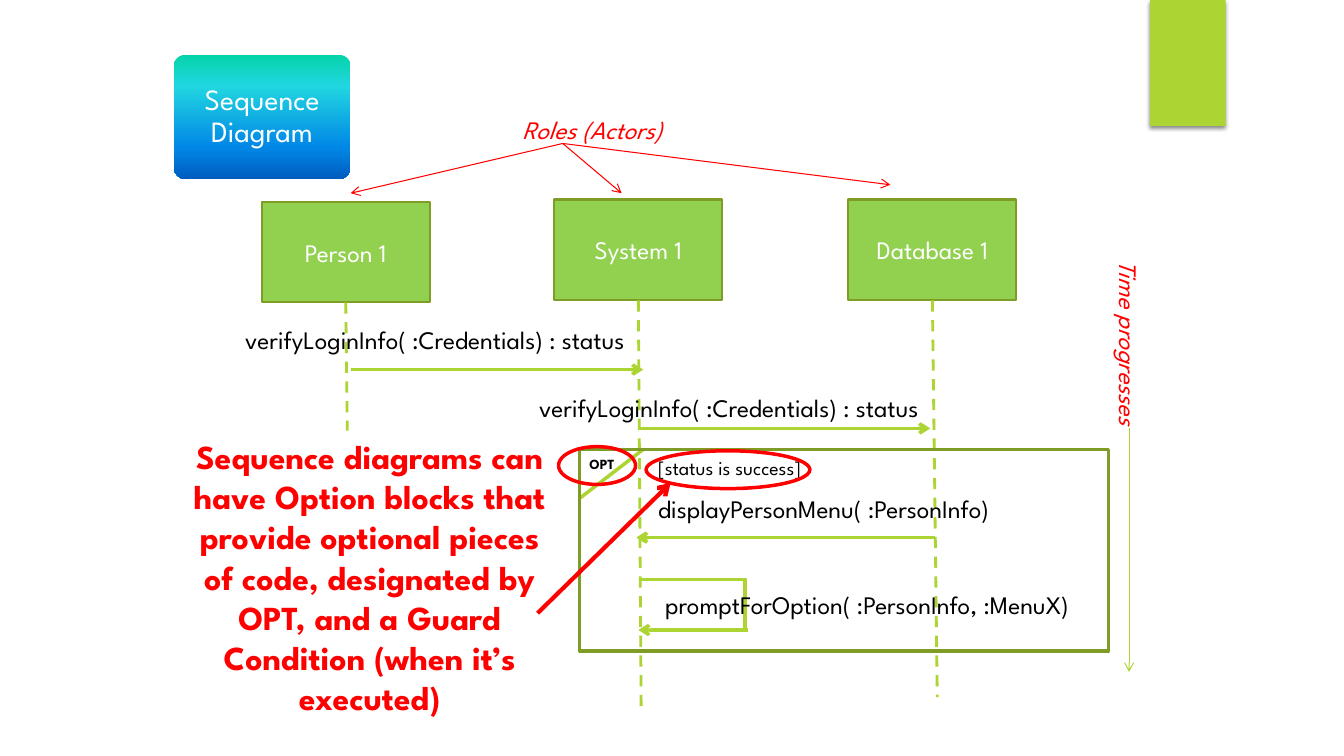
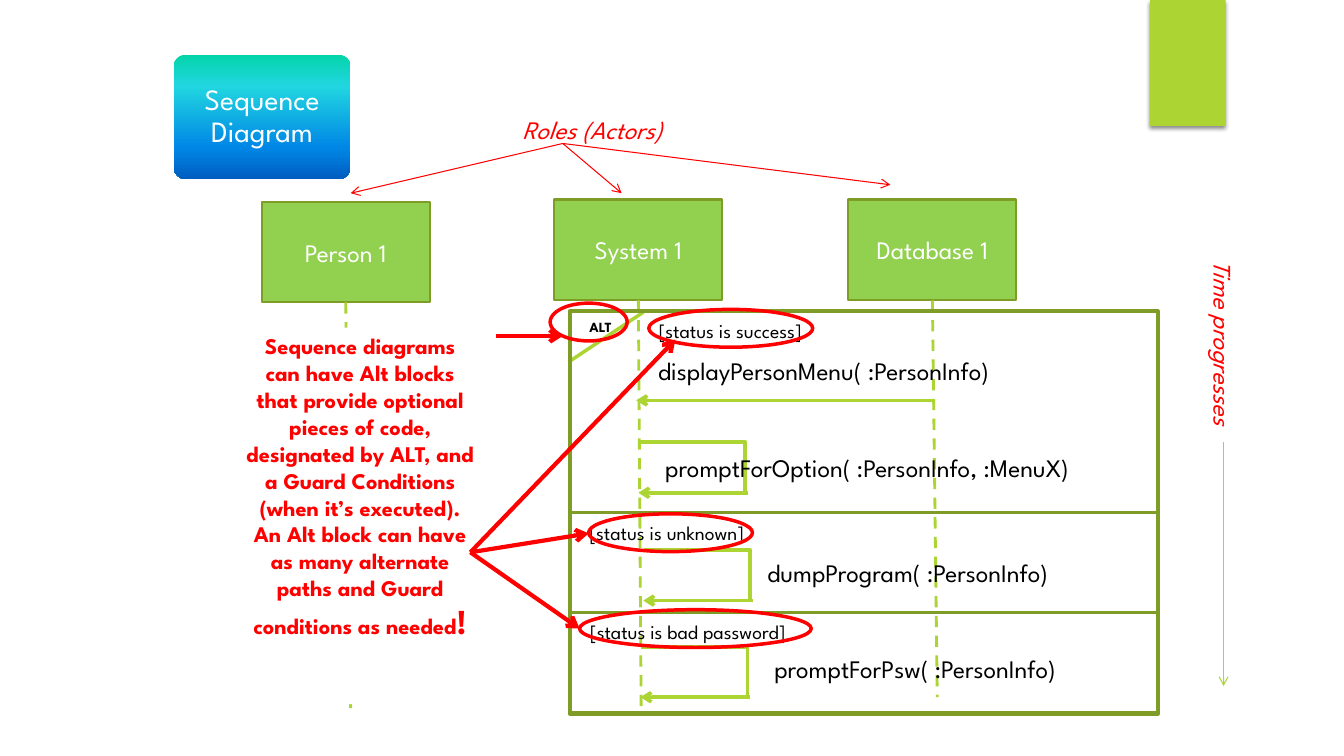
from dataclasses import dataclass

from lxml.etree import SubElement
from pptx import Presentation
from pptx.dml.color import RGBColor as RGB
from pptx.enum.dml import MSO_LINE
from pptx.enum.shapes import MSO_CONNECTOR as LINK, MSO_SHAPE as SHAPE
from pptx.enum.text import MSO_ANCHOR as ANCHOR, PP_ALIGN as ALIGN
from pptx.oxml.ns import qn
from pptx.util import Pt


@dataclass(frozen=True)
class Theme:
    font: str = "League Spartan"
    lime: RGB = RGB(0xAC, 0xD4, 0x33)
    olive: RGB = RGB(0x7F, 0x9D, 0x26)
    actor: RGB = RGB(0x92, 0xD0, 0x50)
    red: RGB = RGB(0xFF, 0x00, 0x00)
    white: RGB = RGB(0xFF, 0xFF, 0xFF)
    black: RGB = RGB(0x00, 0x00, 0x00)
    title_gradient: tuple = ((0, "03D4A8"), (25, "21D6E0"), (75, "0087E6"), (100, "005CBF"))
    title_size: int = 21
    body_size: int = 18
    guard_size: int = 14
    tag_size: int = 10
    emphasis_size: int = 24
    thin: float = 0.75
    medium: float = 2.5
    heavy: float = 3


THEME = Theme()
LABEL_HEIGHT = 29
SELF_CALL_WIDTH, SELF_CALL_HEIGHT = 78, 36

# Actor, left, top, end of its lifeline
ACTORS = [
    ("Person 1", 187, 144, (250.5, 510)),
    ("System 1", 396, 142.5, (458, 510)),
    ("Database 1", 606, 142.5, (669.5, 498)),
]
ROLE_TARGETS = [(250.5, 138), (444, 138), (636, 132)]

DIAGRAMS = [
    {
        "time": (806.5, 306),
        "messages": [((250.5, 264), (459.5, 264)), ((456, 306), (664.5, 306)),
                     ((668, 384), (454.5, 384))],
        "self_calls": [(456.5, 414)],
        "calls": [
            (168, 228, 330, "verifyLoginInfo( :Credentials) : status"),
            (378, 277, 330, "verifyLoginInfo( :Credentials) : status"),
            (463, 348.5, 304, "displayPersonMenu( :PersonInfo)"),
            (468, 417.5, 359, "promptForOption( :PersonInfo, :MenuX)"),
        ],
        "frames": [(414, 321, 378, 144)],
        "corner": ((414, 356), (459.5, 321)),
        "tag": (414, 322, 39, "OPT"),
        "guards": [(463, 322, 132, "[status is success]")],
        "note_box": (126.5, 307.5, 275, 240),
        "note_size": 24,
        "note": ["Sequence diagrams can have Option blocks that provide optional pieces of code, "
                 "designated by OPT, and a Guard Condition (when it’s executed)"],
        "circles": [(399, 319, 55, 27), (461.5, 322, 117, 27)],
        "pointers": [((384, 438), (479, 345))],
    },
    {
        "time": (874, 316),
        "messages": [((668, 286), (454.5, 286))],
        "self_calls": [(456.5, 316), (460, 393), (458, 462)],
        "calls": [
            (463, 250.5, 304, "displayPersonMenu( :PersonInfo)"),
            (468, 319.5, 359, "promptForOption( :PersonInfo, :MenuX)"),
            (541, 394.5, 257, "dumpProgram( :PersonInfo)"),
            (546, 463, 253, "promptForPsw( :PersonInfo)"),
        ],
        "frames": [(407, 222, 420, 144), (407, 366, 420, 144), (407, 437.5, 420, 72)],
        "corner": ((407, 258), (459.5, 223)),
        "tag": (414, 224, 39, "ALT"),
        "guards": [
            (463.5, 224, 132, "[status is success]"),
            (414, 368.5, 142, "[status is unknown]"),
            (414.5, 439, 177, "[status is bad password]"),
        ],
        "note_box": (168, 234, 178.5, 269),
        "note_size": 16,
        "note": ["Sequence diagrams can have Alt blocks that provide optional pieces of code, "
                 "designated by ALT, and a Guard Conditions (when it’s executed). An Alt block "
                 "can have as many alternate paths and Guard conditions as needed", "!"],
        "circles": [(393, 216.5, 55, 27), (463.5, 221, 117, 27),
                    (420.5, 367, 117, 27), (414, 435.5, 165.5, 27)],
        "pointers": [((336, 394.5), (482.5, 242.5)), ((354, 240), (402, 240)),
                     ((336, 394.5), (420.5, 381)), ((336, 394.5), (414, 449))],
    },
]


def style_text(shape, size, color, align=ALIGN.LEFT, anchor=ANCHOR.TOP, bold=False, italic=False):
    frame = shape.text_frame
    frame.word_wrap = True
    frame.vertical_anchor = anchor
    for paragraph in frame.paragraphs:
        paragraph.alignment = align
        for run in paragraph.runs:
            run.font.name = THEME.font
            run.font.size = Pt(size)
            run.font.color.rgb = color
            run.font.bold = bold
            run.font.italic = italic


def add_line(slide, start, end, color, width, arrow=True, kind=LINK.STRAIGHT):
    line = slide.shapes.add_connector(kind, *map(Pt, start + end))
    line.line.color.rgb = color
    line.line.width = Pt(width)
    if arrow:
        SubElement(line.element.find(".//" + qn("a:ln")), qn("a:tailEnd"), type="arrow")
    SubElement(line.element.find(qn("p:spPr")), qn("a:effectLst"))
    return line


prs = Presentation()
prs.slide_width, prs.slide_height = Pt(960), Pt(540)
blank = prs.slide_layouts[6]

for number, diagram in enumerate(DIAGRAMS):
    slide = prs.slides.add_slide(blank)
    shapes = slide.shapes

    # The corner band belongs to the layout, so it is made only once
    if number == 0:
        band = shapes.add_shape(SHAPE.RECTANGLE, Pt(821.5), Pt(0), Pt(54), Pt(90))
        band.fill.solid()
        band.fill.fore_color.rgb = THEME.lime
        band.line.fill.background()
        band.shadow.inherit = False
        shadow = SubElement(band.element.find(".//" + qn("a:effectLst")), qn("a:outerShdw"),
                            blurRad=str(Pt(3)), dist=str(Pt(2)), dir="5400000", rotWithShape="0")
        shadow_color = SubElement(shadow, qn("a:srgbClr"), val="000000")
        SubElement(shadow_color, qn("a:alpha"), val="45000")
        blank.shapes.element.append(band.element)

    # Title
    title = shapes.add_shape(SHAPE.ROUNDED_RECTANGLE, Pt(124), Pt(39), Pt(126.5), Pt(89))
    title.adjustments[0] = 0.1
    title.shadow.inherit = False
    title.line.fill.background()
    title.fill.gradient()
    title.fill.gradient_angle = 270
    stops = title.element.find(".//" + qn("a:gsLst"))
    stops.clear()
    for position, color in THEME.title_gradient:
        stop = SubElement(stops, qn("a:gs"), pos=str(position * 1000))
        SubElement(stop, qn("a:srgbClr"), val=color)
    title.text_frame.text = "Sequence Diagram"
    title.text_frame.paragraphs[0].line_spacing = 0.9
    style_text(title, THEME.title_size, THEME.white, ALIGN.CENTER, ANCHOR.MIDDLE)

    # Actors and lifelines
    for name, left, top, lifeline_end in ACTORS:
        actor = shapes.add_shape(SHAPE.RECTANGLE, Pt(left), Pt(top), Pt(120), Pt(72))
        actor.shadow.inherit = False
        actor.fill.solid()
        actor.fill.fore_color.rgb = THEME.actor
        actor.line.color.rgb = THEME.olive
        actor.line.width = Pt(1.5)
        actor.text_frame.text = name
        style_text(actor, THEME.body_size, THEME.white, ALIGN.CENTER, ANCHOR.MIDDLE)
        lifeline = add_line(slide, (left + 60, top + 72), lifeline_end, THEME.lime, 2, arrow=False)
        lifeline.line.dash_style = MSO_LINE.DASH
        lifeline.begin_connect(actor, 2)

    # Red captions with their arrows
    time_x, time_top = diagram["time"]
    for left, top, width, turn, words in [
        (time_x - 99, 263.5, 198, 90, "Time progresses"),
        (366, 78, 138, 0, "Roles (Actors)"),
    ]:
        caption = shapes.add_textbox(Pt(left), Pt(top), Pt(width), Pt(LABEL_HEIGHT))
        caption.rotation = turn
        caption.text_frame.text = words
        style_text(caption, THEME.body_size, THEME.red, italic=True)
    add_line(slide, (time_x, time_top), (time_x, time_top + 174), THEME.lime, THEME.thin)
    for target in ROLE_TARGETS:
        add_line(slide, (402, 102.5), target, THEME.red, THEME.thin)

    # Messages and self calls
    for start, end in diagram["messages"]:
        add_line(slide, start, end, THEME.lime, THEME.medium)
    for left, top in diagram["self_calls"]:
        right, bottom = left + SELF_CALL_WIDTH, top + SELF_CALL_HEIGHT
        add_line(slide, (right, bottom), (left - 0.5, bottom), THEME.lime, THEME.medium)
        bend = add_line(slide, (left, top), (right, bottom), THEME.lime, 2.75,
                        arrow=False, kind=LINK.ELBOW)
        SubElement(bend.element.find(".//" + qn("a:avLst")), qn("a:gd"),
                   name="adj1", fmla="val 97400")
    add_line(slide, *diagram["corner"], THEME.lime, THEME.medium, arrow=False)

    # Labels of calls, guards and the block tag
    for labels, size, bold in [
        (diagram["calls"], THEME.body_size, False),
        (diagram["guards"], THEME.guard_size, False),
        ([diagram["tag"]], THEME.tag_size, True),
    ]:
        for left, top, width, words in labels:
            label = shapes.add_textbox(Pt(left), Pt(top), Pt(width), Pt(size * 1.2 + 7.2))
            label.text_frame.text = words
            style_text(label, size, THEME.black, bold=bold)

    # Explanation
    note = shapes.add_textbox(*map(Pt, diagram["note_box"]))
    note.fill.solid()
    note.fill.fore_color.rgb = THEME.white
    explanation, *ending = diagram["note"]
    note.text_frame.text = explanation
    for words in ending:
        note.text_frame.paragraphs[0].add_run().text = words
    style_text(note, diagram["note_size"], THEME.red, ALIGN.CENTER, bold=True)
    for run in note.text_frame.paragraphs[0].runs[1:]:
        run.font.size = Pt(THEME.emphasis_size)

    # Block frames, red circles and pointers
    for preset, boxes, color in [
        (SHAPE.RECTANGLE, diagram["frames"], THEME.olive),
        (SHAPE.OVAL, diagram["circles"], THEME.red),
    ]:
        for box in boxes:
            outline = shapes.add_shape(preset, *map(Pt, box))
            outline.shadow.inherit = False
            outline.fill.background()
            outline.line.color.rgb = color
            outline.line.width = Pt(THEME.medium)
    for start, end in diagram["pointers"]:
        add_line(slide, start, end, THEME.red, THEME.heavy)

prs.save("out.pptx")
